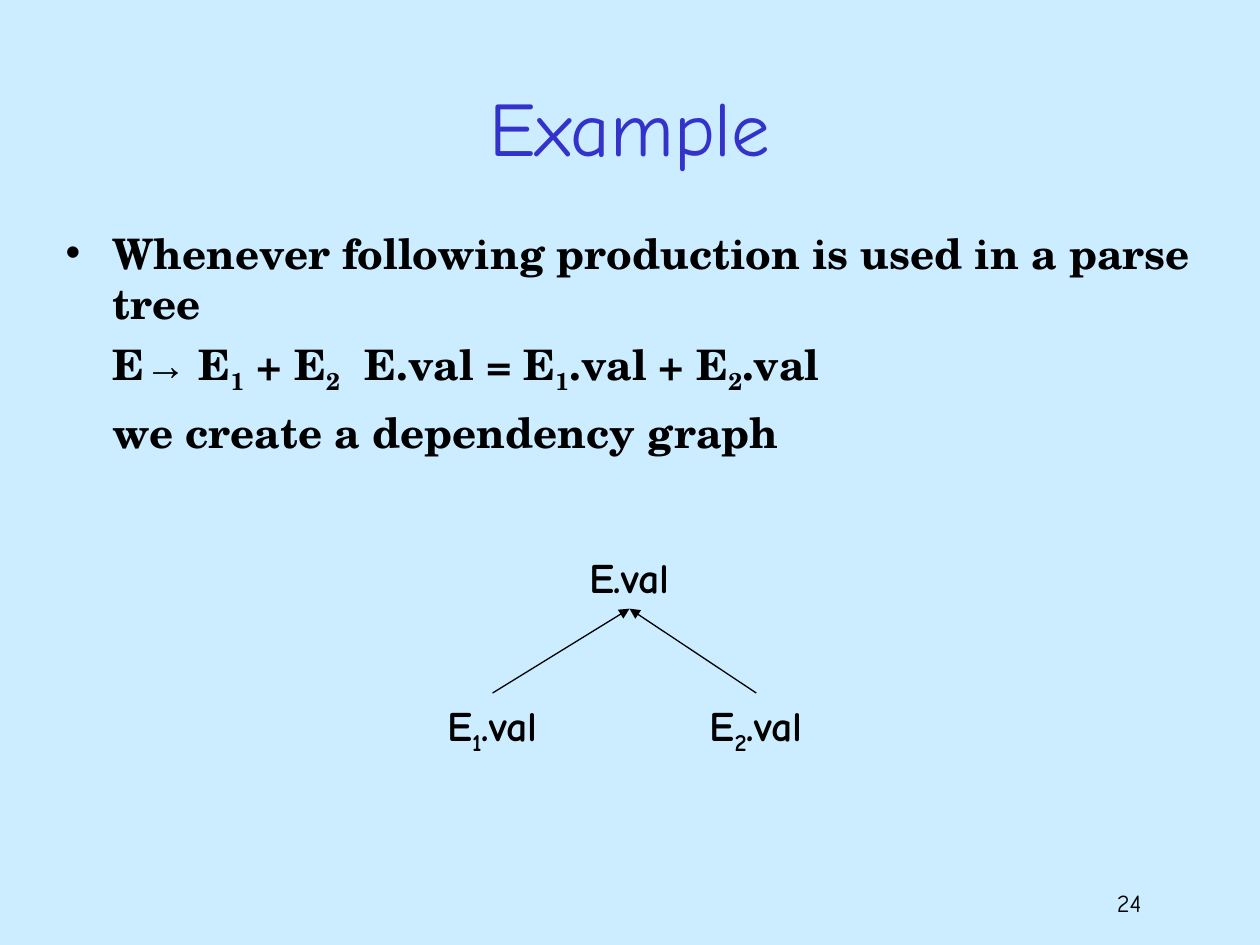
import pptx
import pptx.dml.color
import pptx.enum.shapes
import pptx.enum.text
import pptx.oxml
import pptx.oxml.ns
import pptx.util
from dataclasses import dataclass

Cm, Pt = pptx.util.Cm, pptx.util.Pt
RGB = pptx.dml.color.RGBColor
ALIGN = pptx.enum.text.PP_ALIGN
ANCHOR = pptx.enum.text.MSO_ANCHOR


@dataclass(frozen=True)
class Theme:
    background: RGB = RGB(0xCC, 0xEC, 0xFF)
    title: RGB = RGB(0x33, 0x33, 0xCC)
    ink: RGB = RGB(0, 0, 0)
    display_font: str = "Comic Neue"
    body_font: str = "TeX Gyre Schola"
    symbol_font: str = "Arial"
    title_size: int = 44
    text_size: int = 24
    number_size: int = 14
    line_width: float = 0.75


THEME = Theme()

# "_" before a digit marks a subscript.
TITLE = "Example"
BODY = [
    "Whenever following production is used in a parse tree",
    "E→ E_1 + E_2\tE.val = E_1.val + E_2.val",
    "we create a dependency graph",
]
PAGE_NUMBER = "24"

# Boxes are left, top, width, height in centimetres.
TITLE_BOX = (1.9, 0.84, 21.6, 3.38)
BODY_BOX = (1.07, 4.45, 23.29, 5.08)
NUMBER_BOX = (17.98, 17.78, 5.28, 1.27)
PARENT = ("E.val", (11.61, 11, 2.16, 1.27))
CHILDREN = [
    ("E_1.val", (8.76, 13.97, 2.34, 1.42)),
    ("E_2.val", (14.05, 13.97, 2.39, 1.42)),
]
HANGING_INDENT = 0.95
RULE_TAB = 9.17


def add_xml(parent, tag, attributes=""):
    namespace = pptx.oxml.ns.nsdecls("a")
    parent.append(pptx.oxml.parse_xml(f"<a:{tag} {namespace} {attributes}/>"))


def place(shape, box):
    shape.left, shape.top, shape.width, shape.height = map(Cm, box)


def style(paragraph, size, name, color=THEME.ink, bold=False):
    font = paragraph.font
    font.size, font.name, font.bold = Pt(size), name, bold
    font.color.rgb = color


def write_formula(paragraph, text):
    """Add runs, lowering marked digits and giving arrows the symbol font."""
    for index, part in enumerate(text.split("_")):
        if index:
            subscript = paragraph.add_run()
            subscript.text = part[0]
            subscript.font._element.set("baseline", "-25000")
            part = part[1:]
        before, arrow, after = part.partition("→")
        for piece in filter(None, (before, arrow, after)):
            run = paragraph.add_run()
            run.text = piece
            if piece == "→":
                run.font.name = THEME.symbol_font


def fill_title(shape):
    place(shape, TITLE_BOX)
    frame = shape.text_frame
    frame.vertical_anchor = ANCHOR.MIDDLE
    frame.auto_size = pptx.enum.text.MSO_AUTO_SIZE.NONE
    frame.text = TITLE
    frame.paragraphs[0].alignment = ALIGN.CENTER
    style(frame.paragraphs[0], THEME.title_size, THEME.display_font, THEME.title)


def fill_body(shape):
    place(shape, BODY_BOX)
    frame = shape.text_frame
    frame.auto_size = pptx.enum.text.MSO_AUTO_SIZE.NONE
    for index, text in enumerate(BODY):
        paragraph = frame.add_paragraph() if index else frame.paragraphs[0]
        paragraph.space_before = Pt(6 if index else 0)
        properties = paragraph._p.get_or_add_pPr()
        properties.set("marL", str(Cm(HANGING_INDENT)))
        properties.set("indent", str(0 if index else -Cm(HANGING_INDENT)))
        if index:
            add_xml(properties, "buNone")
        else:
            add_xml(properties, "buFont", f'typeface="{THEME.symbol_font}"')
            add_xml(properties, "buChar", 'char="•"')
        if "\t" in text:
            add_xml(properties, "tabLst")
            add_xml(properties[-1], "tab", f'pos="{Cm(RULE_TAB)}" algn="l"')
        style(paragraph, THEME.text_size, THEME.body_font, bold=True)
        write_formula(paragraph, text)


def add_label(slide, text, box, alignment, size, bold=False, wrap=False):
    label = slide.shapes.add_textbox(*map(Cm, box))
    label.text_frame.word_wrap = wrap
    paragraph = label.text_frame.paragraphs[0]
    paragraph.alignment = alignment
    style(paragraph, size, THEME.display_font, bold=bold)
    write_formula(paragraph, text)
    return label


def add_arrow(slide, source, target):
    """Join the top of source to the bottom of target."""
    arrow = slide.shapes.add_connector(
        pptx.enum.shapes.MSO_CONNECTOR.STRAIGHT, 0, 0, 0, 0)
    arrow.begin_connect(source, 0)
    arrow.end_connect(target, 2)
    arrow.line.color.rgb = THEME.ink
    arrow.line.width = Pt(THEME.line_width)
    add_xml(arrow.line._get_or_add_ln(), "tailEnd", 'type="triangle"')
    add_xml(arrow._element.spPr, "effectLst")


def main():
    presentation = pptx.Presentation()
    presentation.slide_width, presentation.slide_height = Cm(25.4), Cm(19.05)
    slide = presentation.slides.add_slide(presentation.slide_layouts[1])
    slide.background.fill.solid()
    slide.background.fill.fore_color.rgb = THEME.background

    fill_title(slide.shapes.title)
    fill_body(slide.placeholders[1])
    add_label(slide, PAGE_NUMBER, NUMBER_BOX, ALIGN.RIGHT,
              THEME.number_size, wrap=True)

    nodes = [add_label(slide, text, box, ALIGN.CENTER, THEME.text_size, bold=True)
             for text, box in [PARENT, *CHILDREN]]
    parent, *children = nodes
    for child in children:
        add_arrow(slide, child, parent)

    presentation.save("out.pptx")


if __name__ == "__main__":
    main()
